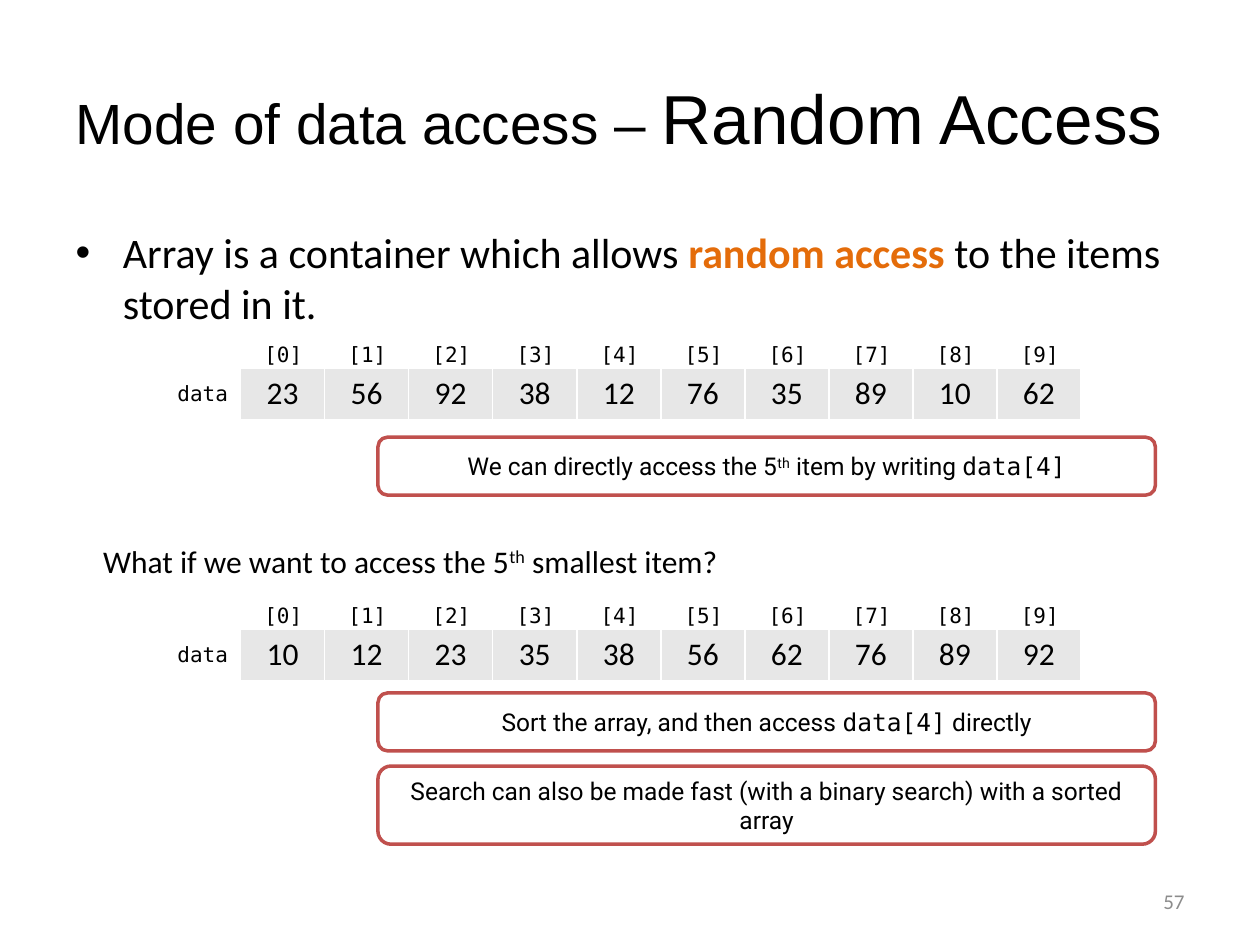
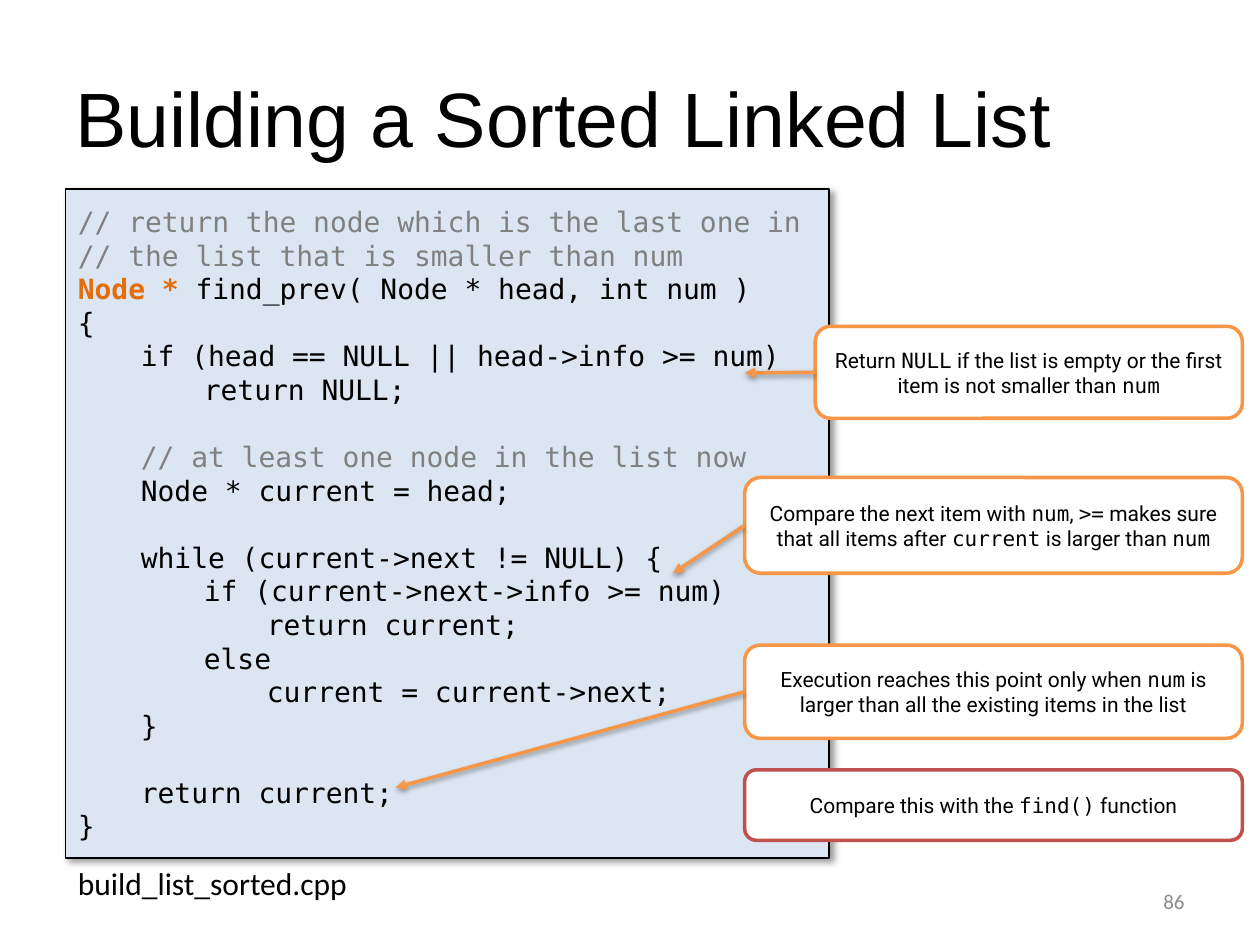
from lxml.etree import SubElement
from pptx import Presentation
from pptx.dml.color import RGBColor
from pptx.enum.shapes import MSO_CONNECTOR, MSO_SHAPE
from pptx.enum.text import MSO_ANCHOR, MSO_AUTO_SIZE, PP_ALIGN
from pptx.oxml.ns import qn
from pptx.util import Inches, Pt

# Shared style
BLACK, WHITE, GREY, PAGE_GREY = "000000", "FFFFFF", "808080", "8C8C8C"
ACCENT, RED, ORANGE = "E46C0A", "C0504D", "F79646"
CODE_FILL, CELL_FILL = "DCE6F2", "E7E7E7"
TITLE_FONT, BODY_FONT, NOTE_FONT, CODE_FONT = "Arial", "Calibri", "Roboto", "DejaVu Sans Mono"
TITLE_BOX = (0.5, 0.3, 9, 1.25)
BODY_BOX = (0.5, 1.75, 9, 4.95)
PAGE_BOX = (7.17, 6.95, 2.33, 0.4)
CODE_BOX = (0.52, 1.5, 6.06, 5.31)
TABLE_LEFT, TABLE_WIDTH, TABLE_HEIGHT = 1.91, 6.67, 0.41
TAB_STEP = 0.5


# Content: a run is a string or (string, format)
def mono(text):
    return text, {"font": CODE_FONT}


TH = ("th", {"superscript": True})
STRONG = {"color": ACCENT, "bold": True}

ACCESS_TITLE = ["Mode of data access – ", ("Random Access", {"size": 39.6})]
ACCESS_BODY = ["Array is a container which allows ", ("random access ", STRONG),
               "to the items stored in it."]
ARRAYS = [
    (2.92, [23, 56, 92, 38, 12, 76, 35, 89, 10, 62]),
    (4.99, [10, 12, 23, 35, 38, 56, 62, 76, 89, 92]),
]
QUESTION = ["What if we want to access the 5", TH, " smallest item?"]
ACCESS_NOTES = [
    (3.47, 0.46, ["We can directly access the 5", TH, " item by writing ", mono("data[4]")]),
    (5.5, 0.46, ["Sort the array, and then access ", mono("data[4]"), " directly"]),
    (6.08, 0.62, ["Search can also be made fast (with a binary search) with a sorted array"]),
]

LIST_TITLE = ["Building a Sorted Linked List"]
CODE = """\
// return the node which is the last one in
// the list that is smaller than num
Node * find_prev( Node * head, int num )
{
\tif (head == NULL || head->info >= num)
\t\treturn NULL;
\t
\t// at least one node in the list now
\tNode * current = head;
\t
\twhile (current->next != NULL) {
\t\tif (current->next->info >= num)
\t\t\treturn current;
\t\telse
\t\t\tcurrent = current->next;
\t}
\t
\treturn current;
}"""
RETURN_TYPE = "Node * "
COMPARE_NOTE = ["Compare this with the ", mono("find()"), " function"]
CALLOUTS = [  # box, arrow tip, text
    ((6.47, 2.59, 3.39, 0.73), (5.91, 2.96),
     ["Return ", mono("NULL"), " if the list is empty or the first item is not smaller than ",
      mono("num")]),
    ((5.91, 3.79, 3.95, 0.76), (5.34, 4.55),
     ["Compare the next item with ", mono("num"), ", ", mono(">="),
      " makes sure that all items after ", mono("current"), " is larger than ", mono("num")]),
    ((5.91, 5.12, 3.95, 0.74), (3.14, 6.25),
     ["Execution reaches this point only when ", mono("num"),
      " is larger than all the existing items in the list"]),
]


# Helpers
def rgb(color):
    return RGBColor.from_string(color)


def inches(box):
    return [Inches(length) for length in box]


def write(paragraph, runs, size, font=BODY_FONT, color=BLACK, align=PP_ALIGN.LEFT):
    paragraph.alignment = align
    for item in runs:
        text, changes = (item, {}) if isinstance(item, str) else item
        run = paragraph.add_run()
        run.text = text
        run.font.size = Pt(changes.get("size", size))
        run.font.name = changes.get("font", font)
        run.font.bold = changes.get("bold", False)
        run.font.color.rgb = rgb(changes.get("color", color))
        if changes.get("superscript"):
            run._r.get_or_add_rPr().set("baseline", "30000")


def add_text(slide, box, runs, size, wrap=False, anchor=MSO_ANCHOR.TOP, **style):
    frame = slide.shapes.add_textbox(*inches(box)).text_frame
    frame.word_wrap = wrap
    frame.vertical_anchor = anchor
    write(frame.paragraphs[0], runs, size, **style)


def fill_placeholder(shape, box, runs, size, anchor, **style):
    shape.left, shape.top, shape.width, shape.height = inches(box)
    frame = shape.text_frame
    frame.auto_size = MSO_AUTO_SIZE.NONE
    frame.vertical_anchor = anchor
    frame.paragraphs[0].space_before = Pt(0)
    write(frame.paragraphs[0], runs, size, **style)


def start_slide(presentation, layout, title, size, page):
    slide = presentation.slides.add_slide(presentation.slide_layouts.get_by_name(layout))
    fill_placeholder(slide.shapes.title, TITLE_BOX, title, size, MSO_ANCHOR.MIDDLE,
                     font=TITLE_FONT)
    add_text(slide, PAGE_BOX, [page], 12, wrap=True, anchor=MSO_ANCHOR.MIDDLE,
             color=PAGE_GREY, align=PP_ALIGN.RIGHT)
    return slide


def add_box(slide, kind, box, fill, line, width):
    shape = slide.shapes.add_shape(kind, *inches(box))
    shape.shadow.inherit = False
    shape.fill.solid()
    shape.fill.fore_color.rgb = rgb(fill)
    shape.line.color.rgb = rgb(line)
    shape.line.width = Pt(width)
    shape.text_frame.word_wrap = True
    shape.text_frame.vertical_anchor = MSO_ANCHOR.MIDDLE
    return shape


def add_note(slide, box, runs, size, line=RED):
    shape = add_box(slide, MSO_SHAPE.ROUNDED_RECTANGLE, box, WHITE, line, 2)
    write(shape.text_frame.paragraphs[0], runs, size, font=NOTE_FONT, align=PP_ALIGN.CENTER)
    return shape


def add_shadow(shape, alpha, blur, distance, angle):
    properties = shape._element.spPr
    effects = properties.find(qn("a:effectLst"))
    if effects is None:
        effects = SubElement(properties, qn("a:effectLst"))
    shadow = SubElement(effects, qn("a:outerShdw"), blurRad=str(Pt(blur)),
                        dist=str(Pt(distance)), dir=str(angle * 60000), rotWithShape="0")
    color = SubElement(shadow, qn("a:srgbClr"), val=BLACK)
    SubElement(color, qn("a:alpha"), val=str(alpha * 1000))


def add_arrow(slide, source, tip):
    connector = slide.shapes.add_connector(MSO_CONNECTOR.STRAIGHT, 0, 0, *inches(tip))
    connector.begin_connect(source, 1)
    connector.line.color.rgb = rgb(ORANGE)
    connector.line.width = Pt(2)
    SubElement(connector._element.spPr.find(qn("a:ln")), qn("a:tailEnd"), type="triangle")
    add_shadow(connector, 38, 3.1, 1.6, 90)


def set_borders(cell, color, width):
    properties = cell._tc.get_or_add_tcPr()
    for position, side in enumerate(("lnL", "lnR", "lnT", "lnB")):
        line = SubElement(properties, qn(f"a:{side}"), w=str(Pt(width)))
        SubElement(SubElement(line, qn("a:solidFill")), qn("a:srgbClr"), val=color)
        properties.insert(position, line)


def add_array(slide, top, values):
    pitch = TABLE_WIDTH / len(values)
    table = slide.shapes.add_table(
        1, len(values), *inches((TABLE_LEFT, top, TABLE_WIDTH, TABLE_HEIGHT))).table
    for index, value in enumerate(values):
        table.columns[index].width = Inches(pitch)
        cell = table.cell(0, index)
        cell.fill.solid()
        cell.fill.fore_color.rgb = rgb(CELL_FILL)
        set_borders(cell, WHITE, 1)
        write(cell.text_frame.paragraphs[0], [str(value)], 18, align=PP_ALIGN.CENTER)
        label_box = (TABLE_LEFT + index * pitch + 0.09, top - 0.26, 0.51, 0.3)
        add_text(slide, label_box, [f"[{index}]"], 12, font=CODE_FONT)
    add_text(slide, (TABLE_LEFT - 0.6, top + 0.05, 0.61, 0.3), ["data"], 12, font=CODE_FONT)


def code_runs(line):
    if line.startswith(RETURN_TYPE):
        return [(RETURN_TYPE, STRONG), line.removeprefix(RETURN_TYPE)]
    return [(line, {"color": GREY})] if line.strip().startswith("//") else [line]


def add_code(slide):
    shape = add_box(slide, MSO_SHAPE.RECTANGLE, CODE_BOX, CODE_FILL, BLACK, 0.75)
    add_shadow(shape, 40, 4, 3, 45)
    frame = shape.text_frame
    for index, line in enumerate(CODE.split("\n")):
        paragraph = frame.add_paragraph() if index else frame.paragraphs[0]
        tabs = SubElement(paragraph._p.get_or_add_pPr(), qn("a:tabLst"))
        for stop in (1, 2, 3):
            SubElement(tabs, qn("a:tab"), pos=str(Inches(stop * TAB_STEP)), algn="l")
        write(paragraph, code_runs(line), 16, font=CODE_FONT)


# Slides
def build_access_slide(presentation):
    slide = start_slide(presentation, "Title and Content", ACCESS_TITLE, 32.4, "57")
    fill_placeholder(slide.placeholders[1], BODY_BOX, ACCESS_BODY, 24, MSO_ANCHOR.TOP)
    for top, values in ARRAYS:
        add_array(slide, top, values)
    add_text(slide, (0.72, 4.25, 5.15, 0.4), QUESTION, 18)
    for top, height, runs in ACCESS_NOTES:
        add_note(slide, (3, top, 6.17, height), runs, 14)


def build_list_slide(presentation):
    slide = start_slide(presentation, "Title Only", LIST_TITLE, 44, "86")
    add_code(slide)
    add_note(slide, (5.91, 6.11, 3.95, 0.56), COMPARE_NOTE, 12)
    for box, tip, runs in CALLOUTS:
        callout = add_note(slide, box, runs, 12, line=ORANGE)
        add_arrow(slide, callout, tip)
    add_text(slide, (0.52, 6.81, 2.36, 0.4), ["build_list_sorted.cpp"], 18)


def main():
    presentation = Presentation()
    presentation.slide_width, presentation.slide_height = Inches(10), Inches(7.5)
    build_access_slide(presentation)
    build_list_slide(presentation)
    presentation.save("out.pptx")


if __name__ == "__main__":
    main()
